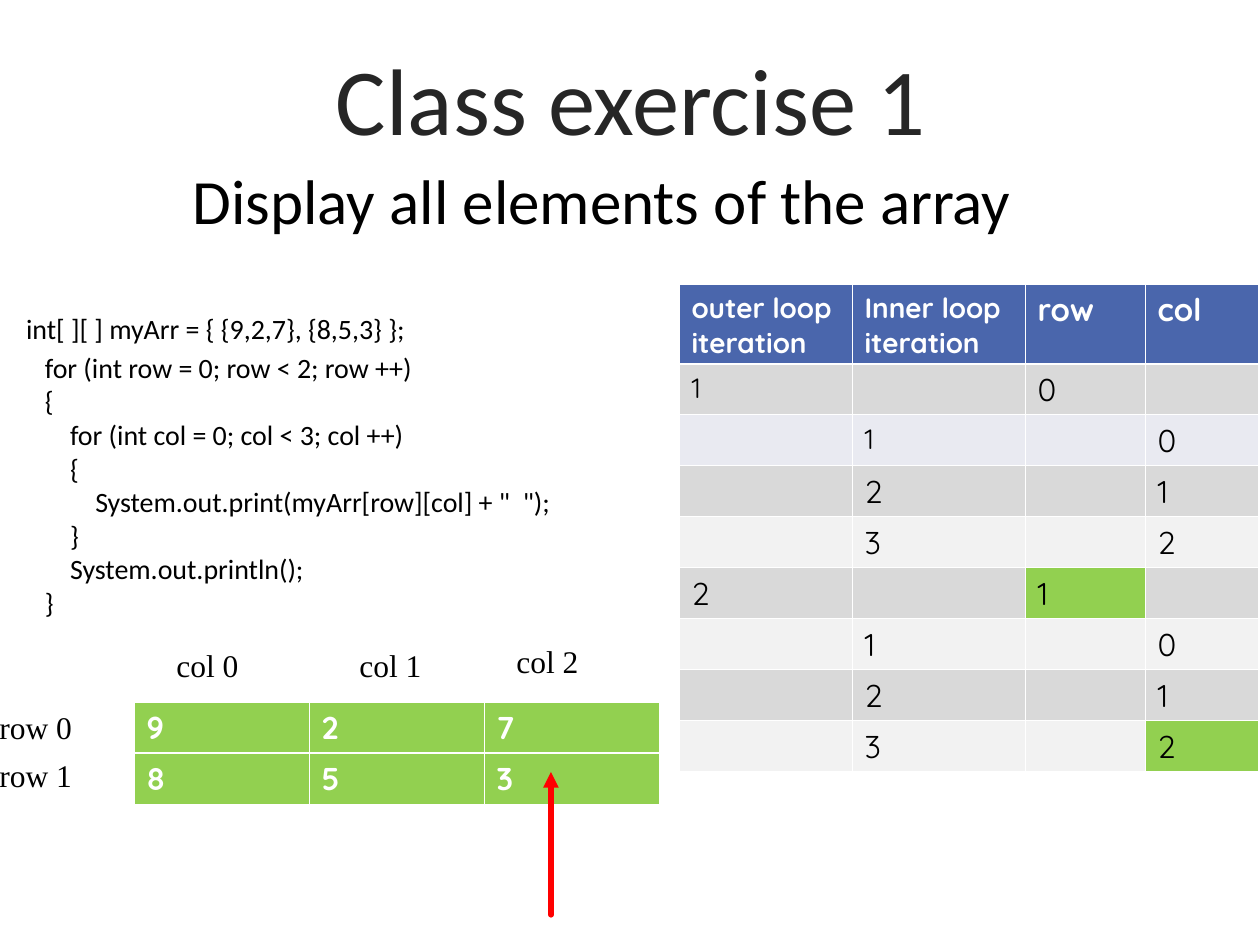
import pptx
import pptx.util
import pptx.dml.color
import pptx.enum.shapes
import pptx.enum.text
import pptx.oxml
import pptx.oxml.ns
import lxml.etree

SCALE = 914400 / 126


def px(length):
    return pptx.util.Emu(round(length * SCALE))


def color(code):
    return pptx.dml.color.RGBColor.from_string(code)


def write(para, text, *, size, font, fill="000000", bold=False):
    span = para.add_run()
    span.text = text
    span.font.size = pptx.util.Pt(size)
    span.font.name = font
    span.font.bold = bold
    span.font.color.rgb = color(fill)


class Page:
    body = "Calibri"
    label = "Times New Roman"
    grid = "Quicksand"
    white = "FFFFFF"
    green = "92D050"
    thin, thick = 0.45, 1.47

    def __init__(self, deck):
        self.slide = deck.slides.add_slide(deck.slide_layouts[6])

    def text(self, left, top, width, height, lines, font, fill="000000", align="LEFT"):
        box = self.slide.shapes.add_textbox(px(left), px(top), px(width), px(height))
        frame = box.text_frame
        frame.word_wrap = True
        for index, line in enumerate(lines):
            para = frame.add_paragraph() if index else frame.paragraphs[0]
            para.alignment = getattr(pptx.enum.text.PP_ALIGN, align)
            for text, size in line:
                write(para, text, size=size, font=font, fill=fill)

    def border(self, cell, side, width):
        line = lxml.etree.SubElement(
            cell._tc.get_or_add_tcPr(), pptx.oxml.ns.qn(f"a:ln{side}"), w=str(pptx.util.Pt(width)))
        solid = lxml.etree.SubElement(line, pptx.oxml.ns.qn("a:solidFill"))
        lxml.etree.SubElement(solid, pptx.oxml.ns.qn("a:srgbClr"), val=self.white)

    def table(self, left, top, widths, heights, rows, style):
        table = self.slide.shapes.add_table(
            len(rows), len(widths), px(left), px(top), px(sum(widths)), px(sum(heights))).table
        for column, width in zip(table.columns, widths):
            column.width = px(width)
        for r, values in enumerate(rows):
            table.rows[r].height = px(heights[r])
            for c, value in enumerate(values):
                cell = table.cell(r, c)
                background, ink, size, bold = style(r, c)
                for side in "LRTB":
                    under_header = (r, side) in ((0, "B"), (1, "T"))
                    self.border(cell, side, self.thick if under_header else self.thin)
                cell.fill.solid()
                cell.fill.fore_color.rgb = color(background)
                if value:
                    write(cell.text_frame.paragraphs[0], value,
                          size=size, font=self.grid, fill=ink, bold=bold)

    def arrow(self, start, end, fill, width):
        arrow = self.slide.shapes.add_connector(
            pptx.enum.shapes.MSO_CONNECTOR.STRAIGHT, *map(px, start + end))
        arrow.line.color.rgb = color(fill)
        arrow.line.width = pptx.util.Pt(width)
        line = arrow.line._get_or_add_ln()
        line.set("cap", "rnd")
        lxml.etree.SubElement(line, pptx.oxml.ns.qn("a:tailEnd"), type="triangle")
        lxml.etree.SubElement(arrow._element.spPr, pptx.oxml.ns.qn("a:effectLst"))


CODE = """\
     for (int row = 0; row < 2; row ++)
     {
         for (int col = 0; col < 3; col ++)
         {
             System.out.print(myArr[row][col] + "  ");
         }
         System.out.println();
     }"""

TRACE = [
    ["outer loop iteration", "Inner loop iteration", "row", "col"],
    ["1", "", "0", ""],
    ["", "1", "", "0"],
    ["", "2", "", "1"],
    ["", "3", "", "2"],
    ["2", "", "1", ""],
    ["", "1", "", "0"],
    ["", "2", "", "1"],
    ["", "3", "", "2"],
]


def array_style(row, column):
    return Page.green, Page.white, 18, True


def trace_style(row, column):
    size = 16 if row < 3 and column < 2 else 18
    if row == 0:
        return "4A66AC", Page.white, size, True
    if (row, column) in ((5, 2), (8, 3)):
        background = Page.green
    elif row == 2:
        background = "E9EAF1"
    else:
        background = "D9D9D9" if row % 2 else "F2F2F2"
    return background, "000000", size, False


def main():
    deck = pptx.Presentation()
    deck.slide_width, deck.slide_height = px(1260), px(945)
    page = Page(deck)

    page.text(64, 35, 1134, 120, [[("Class exercise 1", 54)]], page.body, "262626", "CENTER")
    declaration = [(" ", 32), ("int[ ][ ] myArr = { {9,2,7}, {8,5,3} };", 16)]
    loops = [[(line, 16)] for line in CODE.splitlines()]
    page.text(1, 277, 658, 349, [declaration] + loops, page.body)
    page.text(180, 155, 903, 164, [[("Display all elements of the array", 36)]], page.body)

    page.table(134, 702, [175] * 3, [51] * 2, [["9", "2", "7"], ["8", "5", "3"]], array_style)
    labels = [("row 0", -13, 702), ("row 1", -13, 750),
              ("col 0", 164, 640), ("col 1", 347, 640), ("col 2", 504, 636)]
    for text, left, top in labels:
        page.text(left, top, 116, 50, [[(text, 18)]], page.label)

    page.table(679, 284, [173, 173, 120, 113], [79] + [51] * 8, TRACE, trace_style)
    page.arrow((551, 915), (551, 772), "FF0000", 3)
    deck.save("out.pptx")


if __name__ == "__main__":
    main()
